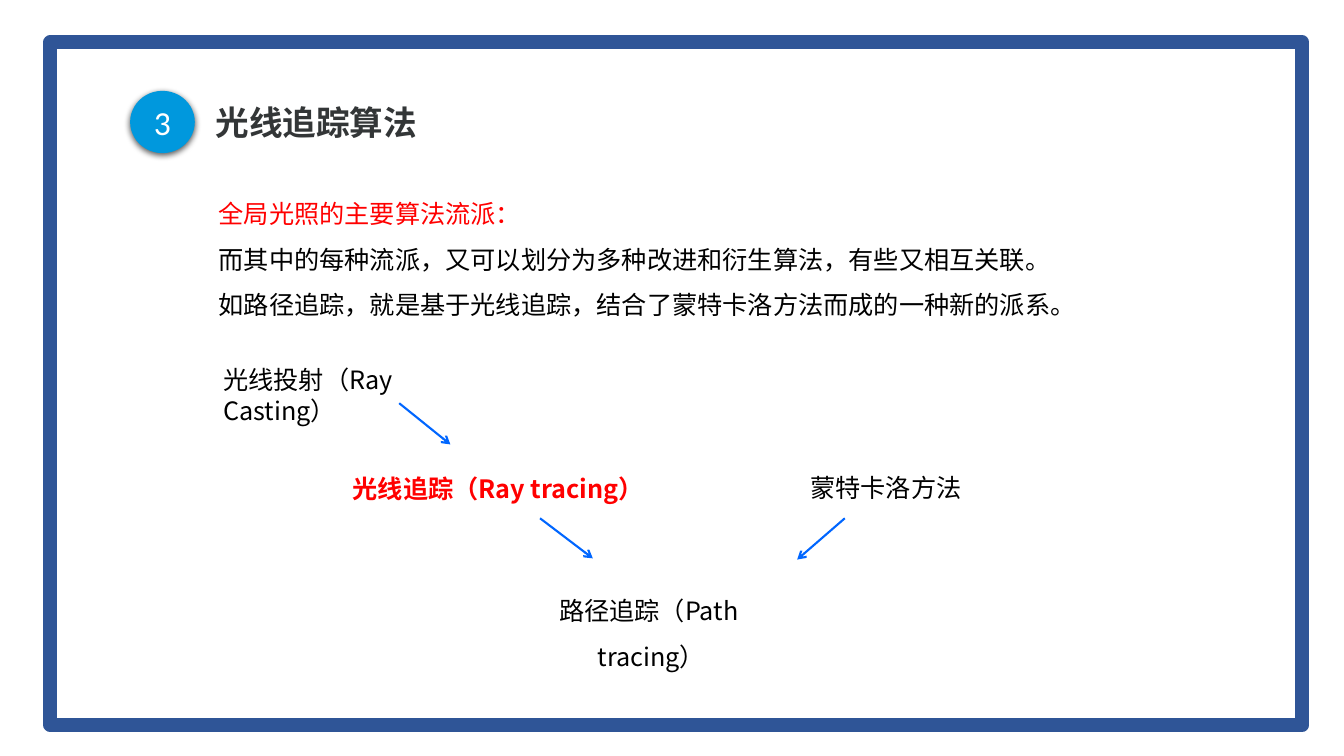
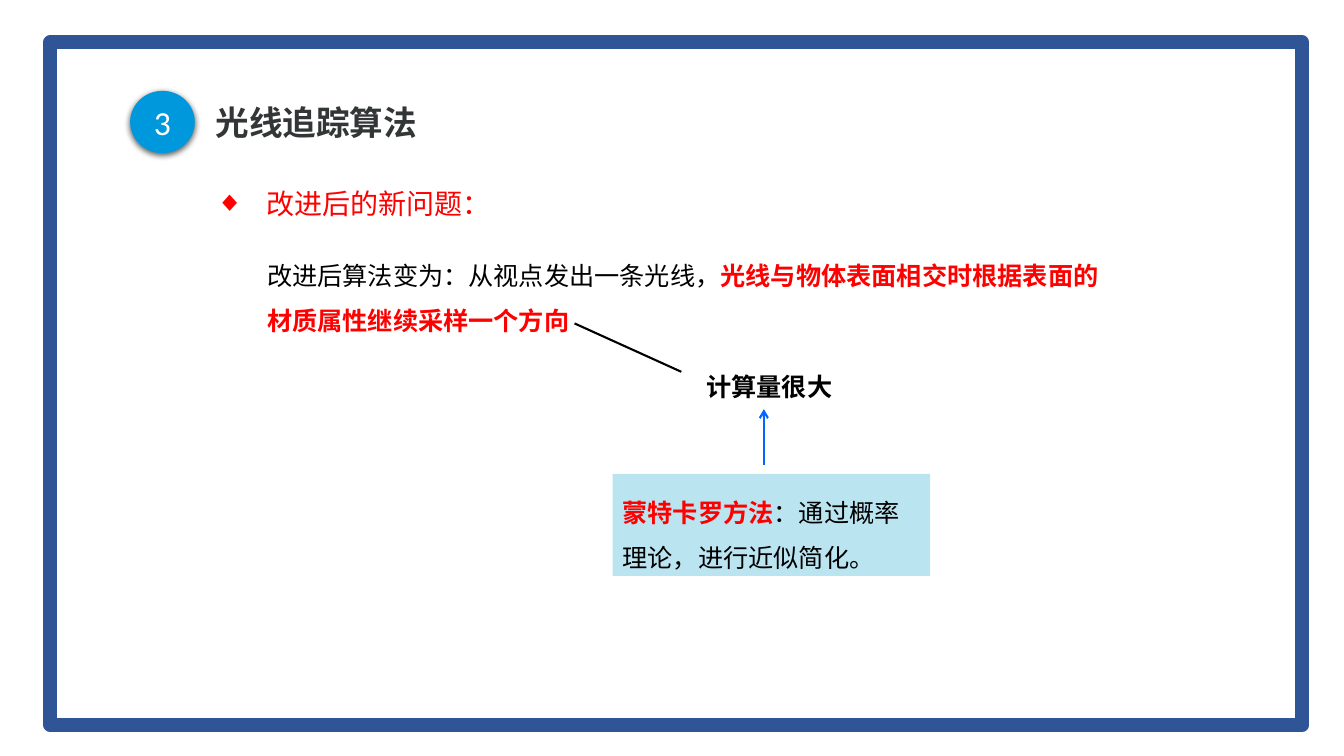
import pptx
import pptx.dml.color
import pptx.enum.shapes
import pptx.enum.text
import pptx.oxml
import pptx.oxml.ns
import pptx.util

Cm = pptx.util.Cm
Pt = pptx.util.Pt
qn = pptx.oxml.ns.qn
SHAPE = pptx.enum.shapes.MSO_SHAPE
ALIGN = pptx.enum.text.PP_ALIGN
ANCHOR = pptx.enum.text.MSO_ANCHOR

COLORS = {
    "white": "FFFFFF",
    "frame": "2F5597",
    "badge": "0098DD",
    "title": "333637",
    "text": "000000",
    "accent": "FF0000",
    "arrow": "0066FF",
    "callout": "BBE4F1",
}
CJK_FONT = "Noto Sans CJK SC"
TIGHT = Pt(22)
LOOSE = Pt(32.4)


def rgb(name):
    """Return the named palette colour."""
    return pptx.dml.color.RGBColor.from_string(COLORS[name])


def append_xml(parent, tag, **attributes):
    """Append a DrawingML element and return it."""
    child = pptx.oxml.parse_xml(f'<a:{tag} {pptx.oxml.ns.nsdecls("a")}/>')
    for name, value in attributes.items():
        child.set(name, str(value))
    parent.append(child)
    return child


def style_span(span, color="text", size=18, bold=False, font=CJK_FONT):
    """Format one run, for Latin and East Asian letters alike."""
    span.font.size = Pt(size)
    span.font.bold = bold
    span.font.color.rgb = rgb(color)
    span.font.name = font
    append_xml(span.font._element, "ea", typeface=font)


def write_para(para, spans, spacing, size=18):
    """Fill a paragraph with (text, colour, bold) spans."""
    para.line_spacing = spacing
    para.space_before = Pt(0)
    for text, color, bold in spans:
        span = para.add_run()
        span.text = text
        style_span(span, color, size, bold)


def set_indent(para, margin, indent, bullet=None):
    """Set the hanging indent and the bullet of a paragraph."""
    properties = para._p.get_or_add_pPr()
    properties.set("marL", str(Cm(margin)))
    properties.set("indent", str(Cm(indent)))
    if bullet:
        append_xml(properties, "buChar", char=bullet)
    else:
        append_xml(properties, "buNone")


def place(item, left, top, width, height):
    """Move and size a shape, in centimetres."""
    item.left, item.top = Cm(left), Cm(top)
    item.width, item.height = Cm(width), Cm(height)


def add_box(page, bounds, spans, spacing=TIGHT, wrap=True):
    """Add a text box holding one paragraph."""
    box = page.shapes.add_textbox(*map(Cm, bounds))
    box.text_frame.word_wrap = wrap
    write_para(box.text_frame.paragraphs[0], spans, spacing)
    return box


def add_shape(page, kind, bounds, fill=None):
    """Add a preset shape without outline or shadow."""
    shape = page.shapes.add_shape(kind, *map(Cm, bounds))
    shape.shadow.inherit = False
    shape.line.fill.background()
    if fill:
        shape.fill.solid()
        shape.fill.fore_color.rgb = rgb(fill)
    else:
        shape.fill.background()
    return shape


def add_line(page, start, end, color="arrow", arrow=True):
    """Add a straight line, with an arrowhead at its end if wanted."""
    line = page.shapes.add_connector(
        pptx.enum.shapes.MSO_CONNECTOR.STRAIGHT, *map(Cm, start + end))
    line.line.color.rgb = rgb(color)
    line.line.width = Pt(1.5)
    properties = line.element.spPr
    if arrow:
        append_xml(properties.find(qn("a:ln")), "tailEnd", type="arrow")
    append_xml(properties, "effectLst")


def add_layout_frame(page):
    """Draw the white panel and blue frame and hand them to the layout."""
    panel = add_shape(page, SHAPE.RECTANGLE, (1.47, 1.27, 31.12, 16.81), "white")
    color = panel.element.spPr.find(qn("a:solidFill")).find(qn("a:srgbClr"))
    append_xml(color, "alpha", val=86000)
    frame = add_shape(page, SHAPE.RECTANGLE, (1.27, 1.07, 31.55, 17.2))
    frame.line.color.rgb = rgb("frame")
    frame.line.width = Pt(10)
    tree = page.slide_layout.element.cSld.spTree
    for number, shape in enumerate((panel, frame)):
        shape.element.nvSpPr.cNvPr.set("id", str(101 + number))
        tree.insert(2 + number, shape.element)


def add_header(page, number, text):
    """Write the title and the numbered badge beside it."""
    title = page.shapes.title
    place(title, 5.18, 2.36, 21.21, 1.55)
    title.text_frame.text = text
    title.text_frame.vertical_anchor = ANCHOR.MIDDLE
    para = title.text_frame.paragraphs[0]
    para.alignment = ALIGN.LEFT
    para.line_spacing = 0.9
    style_span(para.runs[0], "title", 24, True)

    badge = add_shape(page, SHAPE.OVAL, (3.28, 2.29, 1.63, 1.57), "badge")
    shadow = append_xml(badge.element.spPr.find(qn("a:effectLst")), "outerShdw",
                        blurRad=Pt(4.5), dist=Pt(1.5), dir=5400000,
                        algn="ctr", rotWithShape=0)
    append_xml(append_xml(shadow, "srgbClr", val=COLORS["text"]), "alpha", val=63000)
    badge.text_frame.text = number
    badge.text_frame.vertical_anchor = ANCHOR.MIDDLE
    para = badge.text_frame.paragraphs[0]
    para.alignment = ALIGN.CENTER
    style_span(para.runs[0], "white", 24, font="Calibri")


def fill_body(page, bounds, lines, spacing, size=18, margin=0, bullet=None):
    """Write (text, colour) lines into the body placeholder."""
    body = page.placeholders[1]
    place(body, *bounds)
    frame = body.text_frame
    frame.auto_size = pptx.enum.text.MSO_AUTO_SIZE.NONE
    for index, (text, color) in enumerate(lines):
        para = frame.add_paragraph() if index else frame.paragraphs[0]
        write_para(para, [(text, color, False)], spacing, size)
        set_indent(para, margin, -margin, bullet)


def build_schools(page):
    """Show how the global illumination algorithms descend."""
    add_header(page, "3", "光线追踪算法")
    fill_body(page, (5.26, 4.5, 23.42, 4.2), [
        ("全局光照的主要算法流派：", "accent"),
        ("而其中的每种流派，又可以划分为多种改进和衍生算法，有些又相互关联。", "text"),
        ("如路径追踪，就是基于光线追踪，结合了蒙特卡洛方法而成的一种新的派系。", "text"),
    ], LOOSE)
    add_box(page, (5.38, 9.04, 5.2, 1.8), [("光线投射（Ray Casting）", "text", False)])
    add_box(page, (8.64, 11.43, 16.94, 1.3),
            [("光线追踪（Ray tracing）", "accent", True)], LOOSE)
    path_box = add_box(page, (13.84, 14.5, 5.84, 2.6),
                       [("路径追踪（Path tracing）", "text", False)], LOOSE)
    set_indent(path_box.text_frame.paragraphs[0], 0.97, -0.97)
    add_box(page, (20.17, 11.76, 4.37, 1.02),
            [("蒙特卡洛方法", "text", False)], wrap=False)
    for start, end in (((10.06, 10.16), (11.35, 11.2)),
                       ((13.61, 13.06), (14.94, 14.07)),
                       ((21.29, 13.06), (20.09, 14.1))):
        add_line(page, start, end)


def build_problem(page):
    """Show the cost of the improved algorithm and its remedy."""
    add_header(page, "3", "光线追踪算法")
    fill_body(page, (5.18, 4.55, 17, 1.2), [("改进后的新问题：", "accent")],
              Pt(24.4), 20, 1.27, "◆")
    add_box(page, (6.48, 6.05, 22.07, 2.6), [
        ("改进后算法变为：从视点发出一条光线，", "text", False),
        ("光线与物体表面相交时根据表面的材质属性继续采样一个方向", "accent", True),
    ], LOOSE)
    add_box(page, (17.55, 9.22, 3.71, 1.02),
            [("计算量很大", "text", True)], wrap=False)
    add_line(page, (17.17, 9.37), (14.48, 8.15), "text", arrow=False)
    callout = add_shape(page, SHAPE.RECTANGLE, (15.44, 11.94, 8, 2.57), "callout")
    callout.text_frame.vertical_anchor = ANCHOR.TOP
    callout.text_frame.margin_top = Cm(0.2)
    para = callout.text_frame.paragraphs[0]
    para.alignment = ALIGN.LEFT
    write_para(para, [("蒙特卡罗方法", "accent", True),
                      ("：通过概率理论，进行近似简化。", "text", False)], LOOSE)
    add_line(page, (19.25, 11.71), (19.25, 10.31))


def main():
    """Build and save the deck."""
    deck = pptx.Presentation()
    deck.slide_width, deck.slide_height = Cm(33.87), Cm(19.05)
    layout = deck.slide_layouts[1]
    pages = [deck.slides.add_slide(layout) for _ in range(2)]
    add_layout_frame(pages[0])
    build_schools(pages[0])
    build_problem(pages[1])
    deck.save("out.pptx")


if __name__ == "__main__":
    main()
